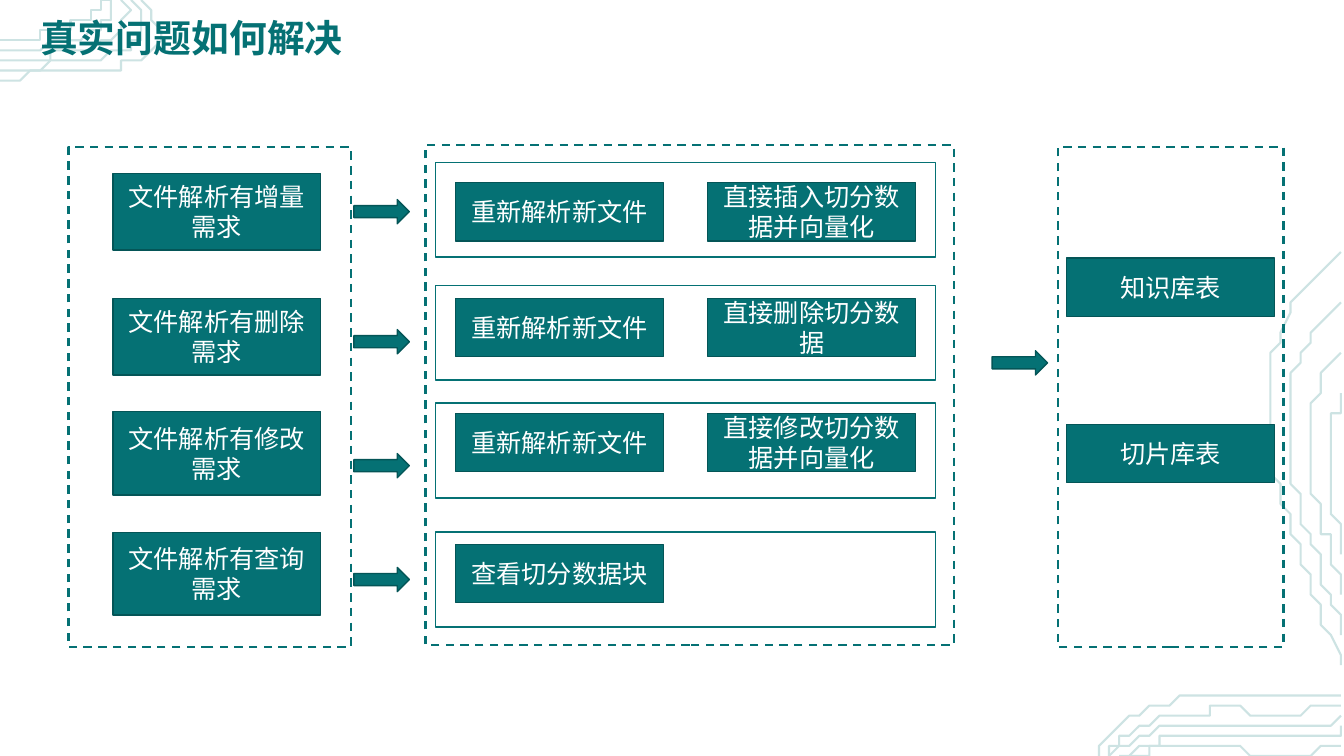
from dataclasses import dataclass

from lxml import etree
from pptx import Presentation
from pptx import util as u
from pptx.dml.color import RGBColor
from pptx.enum import dml, shapes, text
from pptx.oxml.ns import qn


@dataclass(frozen=True)
class Theme:
    teal: str = "057174"
    edge: str = "045557"
    pale: str = "CDE3E3"
    white: str = "FFFFFF"
    latin: str = "Roboto"
    asian: str = "Noto Sans CJK SC"
    head: int = 27
    body: int = 18
    thin: float = 1
    thick: float = 1.5


T = Theme()
WIDE, HIGH = u.Inches(13.33), u.Inches(7.5)
CELL = HIGH / 75
CARD = 20.6, 5.8
RECT = shapes.MSO_SHAPE.RECTANGLE
ARROW = shapes.MSO_SHAPE.RIGHT_ARROW

NEEDS = [
    ("文件解析有增量需求", 2.6, 7.6, 5.2),
    ("文件解析有删除需求", 15, 7.6, 18.1),
    ("文件解析有修改需求", 26.2, 8.3, 30.4),
    ("文件解析有查询需求", 38.2, 8.2, 41.7),
]
STEPS = [
    (1.7, 3.7, ["重新解析新文件", "直接插入切分数据并向量化"]),
    (13.9, 15.2, ["重新解析新文件", "直接删除切分数据"]),
    (25.6, 26.6, ["重新解析新文件", "直接修改切分数据并向量化"]),
    (38.4, 39.6, ["查看切分数据块"]),
]
TABLES = [("知识库表", 11), ("切片库表", 27.5)]

WAVES = [
    (5, [(14.1, 0), (19.5, 7), (10, 7.2), (0, 7.6)],
     [(10.6, 0), (8, 3), (3, 3.6), (0, 4.4)]),
    (4, [(133.3, 25.2), (120, 34), (127, 52), (133.3, 66.4)],
     [(133.3, 39.3), (131.3, 43), (131.6, 49), (133.3, 55)]),
    (5, [(133.3, 68.7), (125, 70.5), (113, 66), (108.8, 75)],
     [(133.3, 73.6), (128, 76.5), (119, 72.5), (112.2, 75)]),
]


def put(item, **vals):
    for key, val in vals.items():
        setattr(item, key, val)


def rgb(code):
    return RGBColor.from_string(code)


def scale(box):
    return [round(n * CELL) for n in box]


def write(shape, words, size, hue, bold, align, anchor):
    frame = shape.text_frame
    put(frame, word_wrap=True, vertical_anchor=anchor)
    para = frame.paragraphs[0]
    para.alignment = align
    run = para.add_run()
    run.text = words
    put(run.font, size=u.Pt(size), bold=bold, name=T.asian if bold else T.latin)
    run.font.color.rgb = rgb(hue)
    etree.SubElement(run.font._element, qn("a:ea"), typeface=T.asian)
    return frame


def draw(slide, kind, box, fill=None, line=T.teal, width=T.thin, dash=None):
    shape = slide.shapes.add_shape(kind, *scale(box))
    shape.shadow.inherit = False
    if fill:
        shape.fill.solid()
        shape.fill.fore_color.rgb = rgb(fill)
    else:
        shape.fill.background()
    put(shape.line, width=u.Pt(width), dash_style=dash)
    shape.line.color.rgb = rgb(line)
    return shape


def card(slide, box, words):
    shape = draw(slide, RECT, box, T.teal, T.edge)
    write(shape, words, T.body, T.white, False,
          text.PP_ALIGN.CENTER, text.MSO_ANCHOR.MIDDLE)


def arrow(slide, x, y):
    draw(slide, ARROW, (x, y, 5.5, 2.4), T.teal, T.edge)


def panel(slide, box):
    draw(slide, RECT, box, width=T.thick, dash=dml.MSO_LINE.DASH)


def blend(first, last, t):
    return [tuple(p + (q - p) * t for p, q in zip(a, b))
            for a, b in zip(first, last)]


def curve(pts, t):
    while len(pts) > 1:
        pts = blend(pts[:-1], pts[1:], t)
    return pts[0]


def decor(slide, steps=30):
    for count, outer, inner in WAVES:
        for i in range(count):
            ends = blend(outer, inner, i / (count - 1))
            dots = [curve(ends, k / steps) for k in range(steps + 1)]
            pen = slide.shapes.build_freeform(*dots[0], scale=CELL)
            pen.add_line_segments(dots[1:], close=False)
            wave = pen.convert_to_shape()
            wave.shadow.inherit = False
            wave.fill.background()
            wave.line.width = u.Pt(T.thick)
            wave.line.color.rgb = rgb(T.pale)


def title(slide, box):
    shape = slide.shapes.add_textbox(*scale(box))
    frame = write(shape, "真实问题如何解决", T.head, T.teal, True,
                  text.PP_ALIGN.LEFT, text.MSO_ANCHOR.TOP)
    put(frame, margin_top=0, margin_bottom=0)


def needs(slide, box):
    x, y, w, _ = box
    for words, top, tall, tip in NEEDS:
        card(slide, (x + 4.4, y + top, CARD[0], tall), words)
        arrow(slide, x + w + .3, y + tip)
    panel(slide, box)


def flow(slide, box):
    x, y, w, _ = box
    for edge, top, names in STEPS:
        draw(slide, RECT, (x + 1, y + edge, w - 2.8, 9.4))
        for col, words in enumerate(names):
            card(slide, (x + 3 + 25 * col, y + top, *CARD), words)
    arrow(slide, x + w + 3.8, y + 20.4)
    panel(slide, box)


def store(slide, box):
    x, y, w, _ = box
    for words, top in TABLES:
        card(slide, (x + (w - CARD[0]) / 2, y + top, *CARD), words)
    panel(slide, box)


def main():
    deck = Presentation()
    put(deck, slide_width=WIDE, slide_height=HIGH)
    slide = deck.slides.add_slide(deck.slide_layouts[6])
    decor(slide)
    title(slide, (3, 1.5, 40.1, 4))
    needs(slide, (6.8, 14.6, 28, 49.6))
    flow(slide, (42.2, 14.4, 52.4, 49.6))
    store(slide, (104.9, 14.6, 22.4, 49.6))
    deck.save("out.pptx")


if __name__ == "__main__":
    main()
